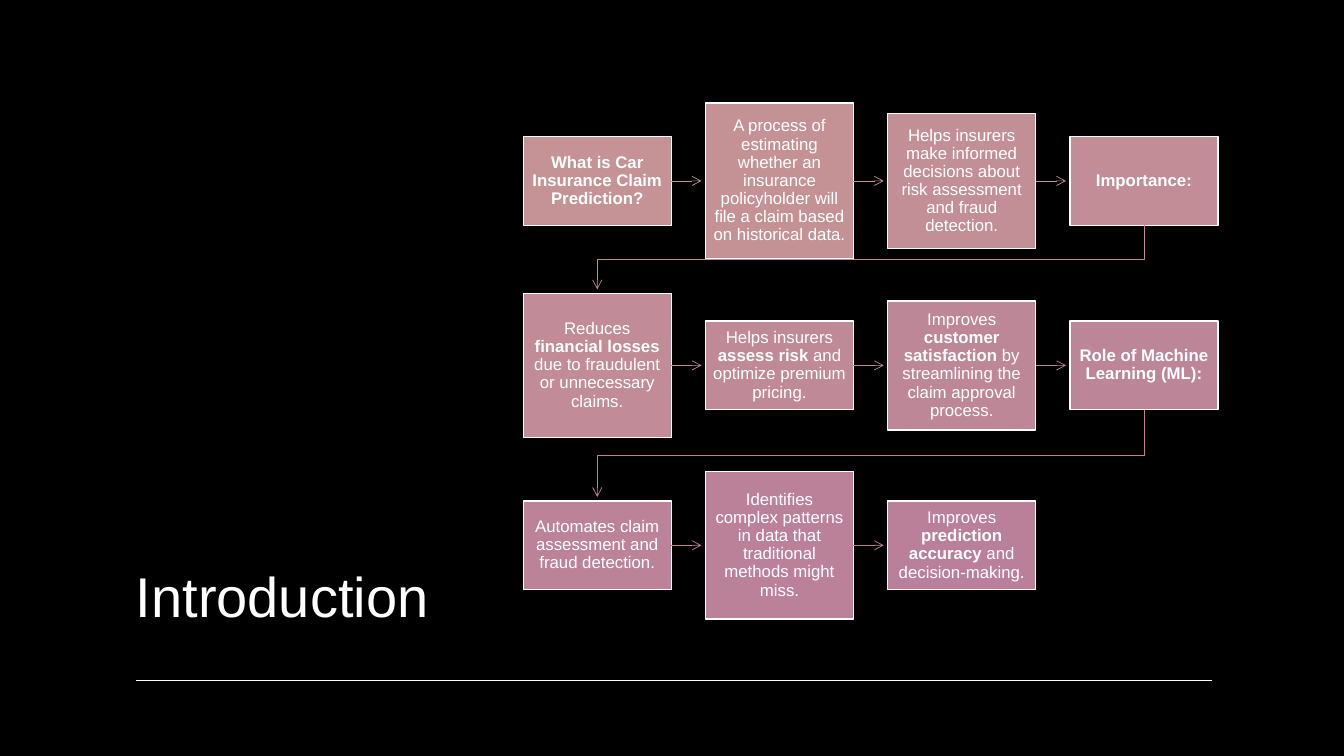
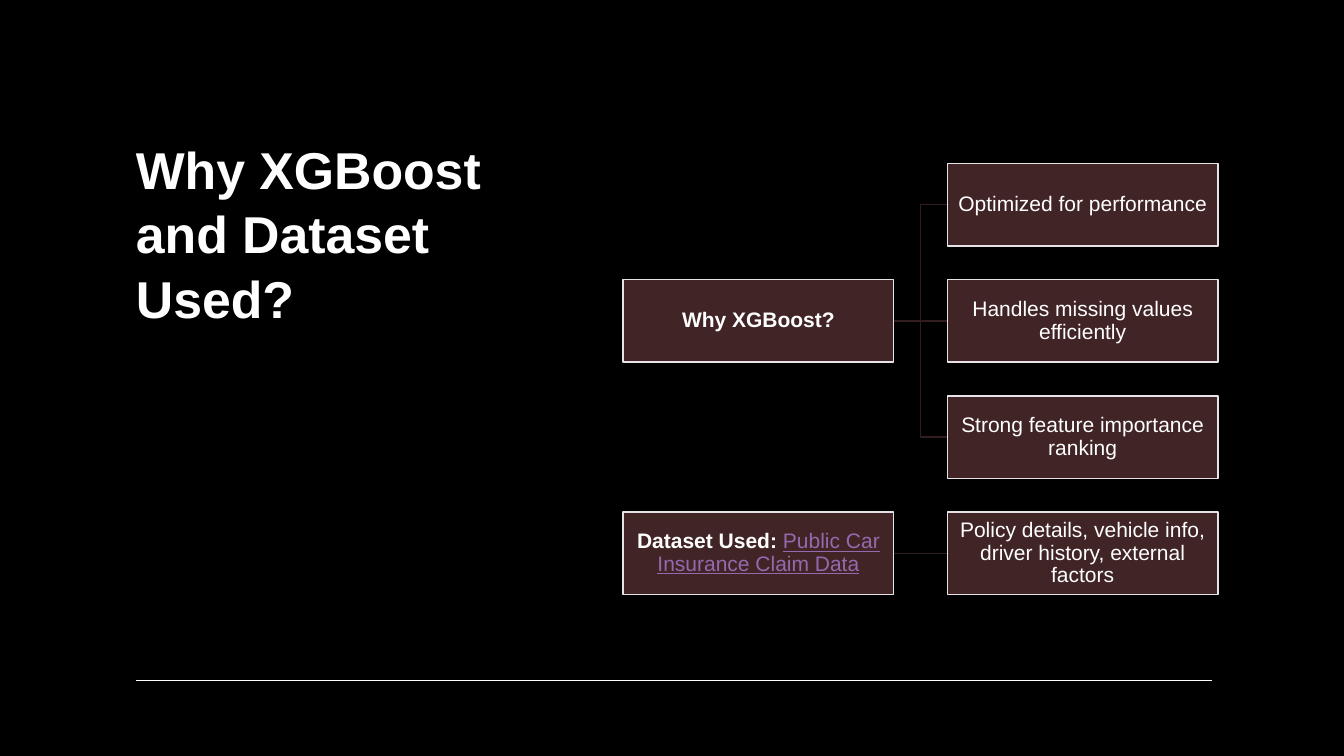
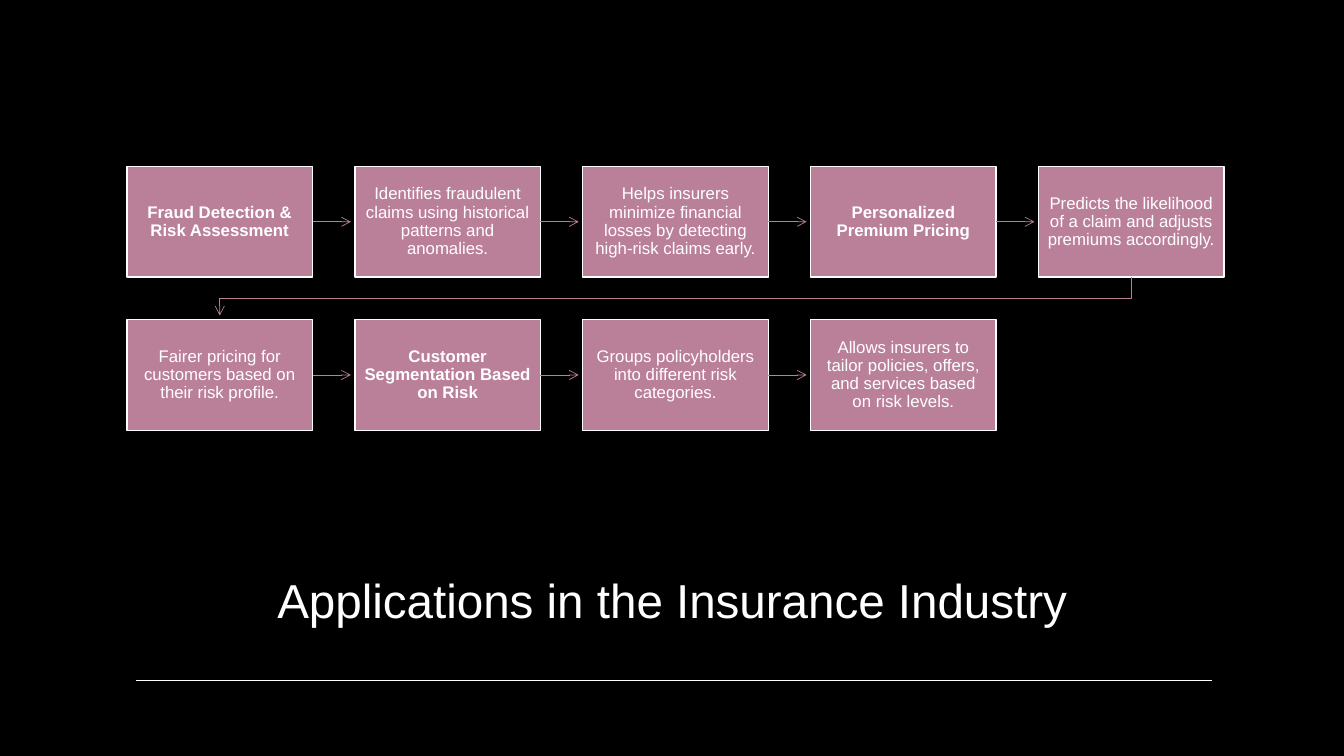
from collections import namedtuple

from lxml import etree
from pptx import Presentation, util as u
from pptx.dml.color import RGBColor
from pptx.enum import shapes, text
from pptx.oxml import ns

WIDTH, HEIGHT = u.Inches(13.33), u.Inches(7.5)
FONT = "Arial"
BLACK = RGBColor(0x00, 0x00, 0x00)
WHITE = RGBColor(0xFF, 0xFF, 0xFF)
ROSE = RGBColor(0xC5, 0x93, 0x95)
MAUVE = RGBColor(0xBA, 0x7F, 0x99)
MAROON = RGBColor(0x41, 0x24, 0x25)
DARK_MAROON = RGBColor(0x34, 0x1D, 0x1E)
PALE = RGBColor(0xE6, 0xE2, 0xE8)
LINK = RGBColor(0x95, 0x69, 0xAE)
TOP, LEFT, BOTTOM, RIGHT = range(4)
ARROW_GAP = u.Inches(0.04)

Box = namedtuple("Box", "left top width height")


def inches(*lengths):
    return Box(*(u.Inches(length) for length in lengths))


def blend(start, end, share):
    return RGBColor(*(round(a + (b - a) * share) for a, b in zip(start, end)))


# Shared parts
def style_runs(paragraph, size, bold=False):
    for run in paragraph.runs:
        run.font.name, run.font.size = FONT, u.Pt(size)
        run.font.color.rgb = WHITE
        run.font.bold = bold or run.font.bold


def style_line(line_shape, color, width, arrow=False):
    line_shape.line.color.rgb = color
    line_shape.line.width = u.Pt(width)
    properties = line_shape.line._get_or_add_ln()
    if arrow:
        etree.SubElement(properties, ns.qn("a:tailEnd"), type="arrow")
    if properties.getparent().find(ns.qn("a:effectLst")) is None:
        properties.addnext(etree.Element(ns.qn("a:effectLst")))


def start_slide(deck, title, box, size, anchor, bold=False,
                align=text.PP_ALIGN.LEFT, spacing=1.0):
    """Black slide with its title and the rule at the foot."""
    slide = deck.slides.add_slide(deck.slide_layouts[6])
    slide.background.fill.solid()
    slide.background.fill.fore_color.rgb = BLACK

    frame = slide.shapes.add_textbox(*box).text_frame
    frame.word_wrap = True
    frame.vertical_anchor = anchor
    frame.text = title
    heading = frame.paragraphs[0]
    heading.alignment, heading.line_spacing = align, spacing
    style_runs(heading, size, bold)

    rule_y = round(HEIGHT * 0.9)
    rule = slide.shapes.add_connector(
        shapes.MSO_CONNECTOR.STRAIGHT, u.Inches(1.35), rule_y, u.Inches(12.02), rule_y)
    style_line(rule, WHITE, 1)
    return slide


def add_card(slide, box, label, fill, border, size, inset):
    """Filled rectangle; words between asterisks are bold."""
    card = slide.shapes.add_shape(shapes.MSO_SHAPE.RECTANGLE, *box)
    card.shadow.inherit = False
    card.fill.solid()
    card.fill.fore_color.rgb = fill
    card.line.color.rgb, card.line.width = border, u.Pt(1)

    frame = card.text_frame
    frame.word_wrap = True
    frame.vertical_anchor = text.MSO_ANCHOR.MIDDLE
    frame.margin_left = frame.margin_right = u.Inches(inset)
    frame.margin_top = frame.margin_bottom = u.Inches(inset)
    paragraph = frame.paragraphs[0]
    paragraph.alignment, paragraph.line_spacing = text.PP_ALIGN.CENTER, 0.9
    for index, words in enumerate(label.split("*")):
        if words:
            run = paragraph.add_run()
            run.text, run.font.bold = words, index % 2 == 1
    style_runs(paragraph, size)
    return card


# Flow of cards, read row by row
def add_step_arrow(slide, card, following, color):
    y = card.top + card.height // 2
    arrow = slide.shapes.add_connector(
        shapes.MSO_CONNECTOR.STRAIGHT, card.left + card.width, y,
        following.left - ARROW_GAP, y)
    arrow.begin_connect(card, RIGHT)
    style_line(arrow, color, 0.5, arrow=True)


def add_return_arrow(slide, card, following, color):
    """Arrow from the end of one row to the start of the next."""
    start_x = card.left + card.width // 2
    end_x = following.left + following.width // 2
    bottom = card.top + card.height
    turn_y = (bottom + following.top) // 2
    outline = slide.shapes.build_freeform(start_x, bottom)
    outline.add_line_segments(
        [(start_x, turn_y), (end_x, turn_y), (end_x, following.top - ARROW_GAP)],
        close=False)
    arrow = outline.convert_to_shape()
    arrow.shadow.inherit = False
    arrow.fill.background()
    style_line(arrow, color, 0.5, arrow=True)


def add_flow(slide, box, rows, columns, gap, inset, first_color, last_color):
    """rows holds lists of (label, card height); gap is used both ways."""
    gap = u.Inches(gap)
    card_width = (box.width - gap * (columns - 1)) // columns
    last = sum(len(row) for row in rows) - 1
    cards, row_top = [], box.top
    for row in rows:
        row_height = u.Inches(max(height for _, height in row))
        for column, (label, height) in enumerate(row):
            height = u.Inches(height)
            place = Box(box.left + column * (card_width + gap),
                        row_top + (row_height - height) // 2, card_width, height)
            fill = blend(first_color, last_color, len(cards) / last)
            cards.append(add_card(slide, place, label, fill, WHITE, 12, inset))
        row_top += row_height + gap

    for index, (card, following) in enumerate(zip(cards, cards[1:])):
        color = blend(first_color, last_color, index / (last - 1))
        same_row = following.left > card.left
        join = add_step_arrow if same_row else add_return_arrow
        join(slide, card, following, color)


# Tree of topics with their points
def add_branch(slide, topic, point):
    level = topic.top == point.top
    kind = shapes.MSO_CONNECTOR.STRAIGHT if level else shapes.MSO_CONNECTOR.ELBOW
    branch = slide.shapes.add_connector(kind, 0, 0, 0, 0)
    branch.begin_connect(topic, RIGHT)
    branch.end_connect(point, LEFT)
    style_line(branch, DARK_MAROON, 1)


def add_tree(slide, box, topics):
    """Two columns; each topic sits level with the middle of its points."""
    row_count = sum(len(points) for _, points in topics)
    card_width, column_step = round(box.width * 0.455), round(box.width * 0.545)
    card_height = u.Inches(0.82)
    row_step = (box.height - card_height) // (row_count - 1)

    def place_card(column, row, label):
        place = Box(box.left + column * column_step, box.top + row * row_step,
                    card_width, card_height)
        return add_card(slide, place, label, MAROON, PALE, 15, 0.01)

    first_row, topic_cards = 0, []
    for label, points in topics:
        topic = place_card(0, first_row + len(points) // 2, label)
        for offset, point in enumerate(points):
            add_branch(slide, topic, place_card(1, first_row + offset, point))
        topic_cards.append(topic)
        first_row += len(points)
    return topic_cards


# Slides
def build_introduction(deck):
    slide = start_slide(deck, "Introduction", inches(1.25, 1.29, 4.26, 5), 40,
                        text.MSO_ANCHOR.BOTTOM)
    rows = [
        [("*What is Car Insurance Claim Prediction?*", 0.88),
         ("A process of estimating whether an insurance policyholder will file "
          "a claim based on historical data.", 1.55),
         ("Helps insurers make informed decisions about risk assessment and "
          "fraud detection.", 1.34),
         ("*Importance:*", 0.88)],
        [("Reduces *financial losses* due to fraudulent or unnecessary claims.", 1.43),
         ("Helps insurers *assess risk* and optimize premium pricing.", 0.88),
         ("Improves *customer satisfaction* by streamlining the claim approval "
          "process.", 1.28),
         ("*Role of Machine Learning (ML):*", 0.88)],
        [("Automates claim assessment and fraud detection.", 0.88),
         ("Identifies complex patterns in data that traditional methods might "
          "miss.", 1.46),
         ("Improves *prediction accuracy* and decision-making.", 0.88)],
    ]
    add_flow(slide, inches(5.19, 1.02, 6.89, 5.12), rows, 4, 0.34, 0.07, ROSE, MAUVE)


def build_dataset(deck):
    slide = start_slide(deck, "Why XGBoost and Dataset Used?",
                        inches(1.25, 1.29, 4.26, 2.75), 37, text.MSO_ANCHOR.TOP,
                        bold=True, spacing=1.04)
    topics = [
        ("*Why XGBoost?*", ["Optimized for performance",
                            "Handles missing values efficiently",
                            "Strong feature importance ranking"]),
        ("*Dataset Used: *Public Car Insurance Claim Data",
         ["Policy details, vehicle info, driver history, external factors"]),
    ]
    dataset = add_tree(slide, inches(6.18, 1.62, 5.9, 4.28), topics)[-1]
    source = dataset.text_frame.paragraphs[0].runs[-1].font
    source.color.rgb, source.underline = LINK, True


def build_applications(deck):
    slide = start_slide(deck, "Applications in the Insurance Industry",
                        inches(1.92, 5.16, 9.5, 1.13), 34, text.MSO_ANCHOR.BOTTOM,
                        align=text.PP_ALIGN.CENTER, spacing=0.9)
    labels = [
        ["*Fraud Detection & Risk Assessment*",
         "Identifies fraudulent claims using historical patterns and anomalies.",
         "Helps insurers minimize financial losses by detecting high-risk claims early.",
         "*Personalized Premium Pricing*",
         "Predicts the likelihood of a claim and adjusts premiums accordingly."],
        ["Fairer pricing for customers based on their risk profile.",
         "*Customer Segmentation Based on Risk*",
         "Groups policyholders into different risk categories.",
         "Allows insurers to tailor policies, offers, and services based on risk levels."],
    ]
    rows = [[(label, 1.1) for label in row] for row in labels]
    add_flow(slide, inches(1.26, 1.65, 10.88, 2.63), rows, 5, 0.42, 0.09, MAUVE, MAUVE)


def main():
    deck = Presentation()
    deck.slide_width, deck.slide_height = WIDTH, HEIGHT
    build_introduction(deck)
    build_dataset(deck)
    build_applications(deck)
    deck.save("out.pptx")


if __name__ == "__main__":
    main()
